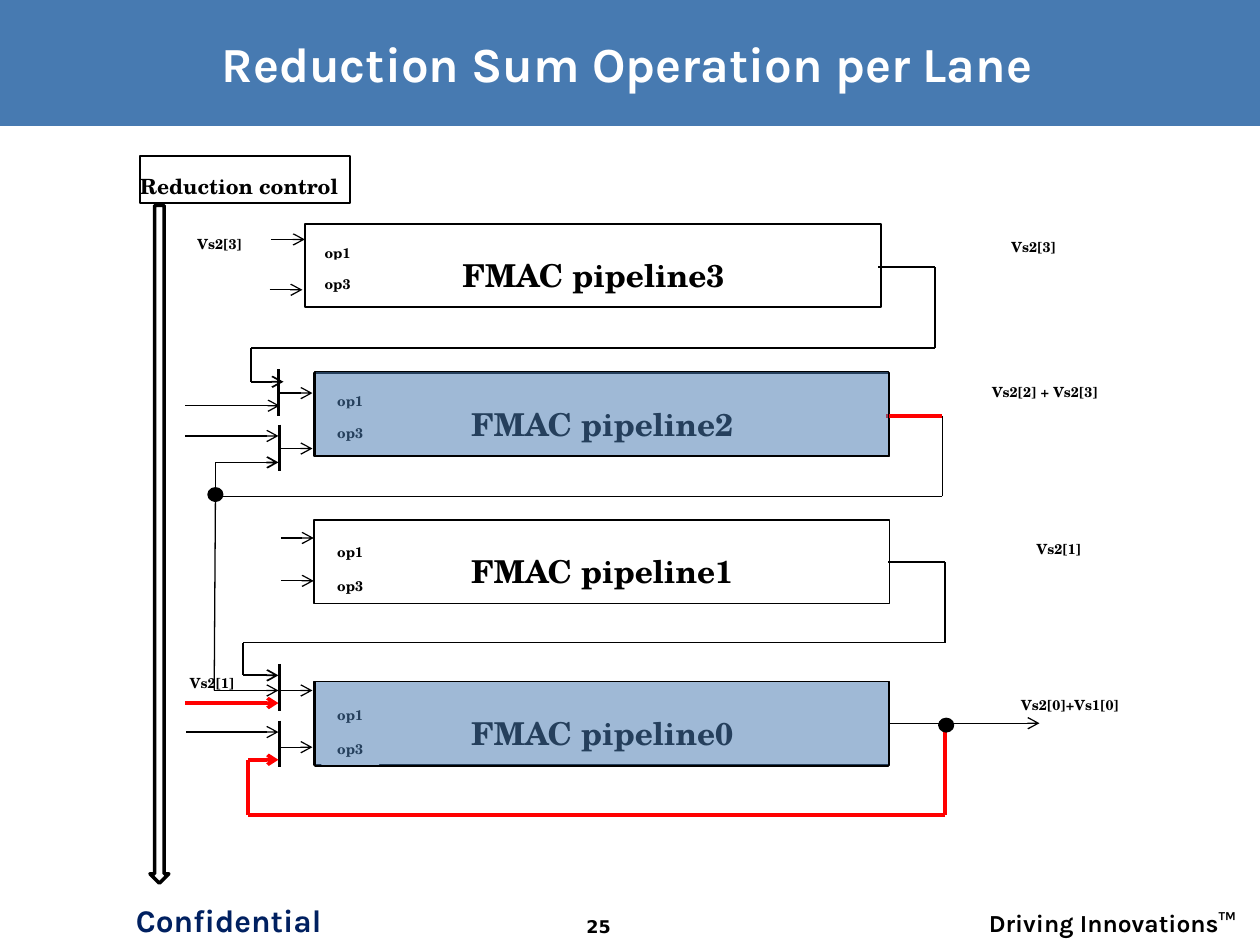
from itertools import pairwise

from lxml.etree import SubElement
from pptx import Presentation
from pptx.dml.color import RGBColor
from pptx.enum.shapes import MSO_CONNECTOR, MSO_SHAPE
from pptx.enum.text import MSO_ANCHOR, PP_ALIGN
from pptx.oxml import parse_xml
from pptx.oxml.ns import nsdecls, qn
from pptx.util import Inches, Pt

BLUE, RED, BLACK, WHITE, NAVY = "477AB1", "FF0000", "000000", "FFFFFF", "002060"
SERIF, SANS = "TeX Gyre Schola", "Karla"


def rgb(value):
    return RGBColor.from_string(value)


class Diagram:
    """Holds the current slide and the style of its elements."""

    def __init__(self, slide):
        self.s = slide

    def set_text(self, shape, text, size, font=SERIF, color=BLACK, align=PP_ALIGN.CENTER,
                 anchor=MSO_ANCHOR.MIDDLE, spacing=1.0, side=0.1, indent=0):
        tf = shape.text_frame
        frame = {"word_wrap": True, "vertical_anchor": anchor,
                 "margin_left": Inches(side), "margin_right": Inches(side),
                 "margin_top": Inches(0.05), "margin_bottom": Inches(0.05)}
        for name, value in frame.items():
            setattr(tf, name, value)
        p = tf.paragraphs[0]
        p.alignment, p.line_spacing = align, spacing
        if indent:
            p._p.get_or_add_pPr().set("indent", str(Inches(indent)))
        r = p.add_run()
        r.text = text
        for name, value in {"size": Pt(size), "name": font, "bold": True}.items():
            setattr(r.font, name, value)
        r.font.color.rgb = rgb(color)
        return r

    def shape(self, kind, x, y, w, h, fill=None, line=None, alpha=None):
        sp = self.s.shapes.add_shape(kind, Inches(x), Inches(y), Inches(w), Inches(h))
        sp.shadow.inherit = False
        if fill:
            sp.fill.solid()
            sp.fill.fore_color.rgb = rgb(fill)
        else:
            sp.fill.background()
        if alpha:
            color = sp.element.spPr.find(f"{qn('a:solidFill')}/{qn('a:srgbClr')}")
            SubElement(color, qn("a:alpha")).set("val", str(alpha * 1000))
        if line:
            sp.line.color.rgb = rgb(BLACK)
            sp.line.width = Pt(line)
        else:
            sp.line.fill.background()
        return sp

    def box(self, x, y, w, h, text, size, indent=0):
        sp = self.shape(MSO_SHAPE.RECTANGLE, x, y, w, h, WHITE, 1)
        self.set_text(sp, text, size, align=PP_ALIGN.LEFT, spacing=1.5, side=0,
                      indent=indent)

    def label(self, x, y, w, text):
        sp = self.shape(MSO_SHAPE.RECTANGLE, x, y, w, 0.32, WHITE)
        self.set_text(sp, text, 8, spacing=1.5)

    def pipeline(self, number, x, y, op_x, op_ys):
        self.box(x, y, 4.57, 0.66, f"FMAC pipeline{number}", 18, indent=1.25)
        for name, op_y in zip(("op1", "op3"), op_ys):
            self.label(op_x, op_y, 0.46, name)

    def wire(self, points, width=1.0, color=BLACK, arrow=True):
        """Join the points with straight lines; the last may end in an arrowhead."""
        for start, end in pairwise(points):
            c = self.s.shapes.add_connector(
                MSO_CONNECTOR.STRAIGHT, *(Inches(v) for v in (*start, *end)))
            c.line.color.rgb = rgb(color)
            c.line.width = Pt(width)
            SubElement(c.element.spPr, qn("a:effectLst"))
        if arrow:
            ln = c.element.spPr.find(qn("a:ln"))
            SubElement(ln, qn("a:tailEnd")).set("type", "arrow")

    def dot(self, x, y):
        self.shape(MSO_SHAPE.OVAL, x, y, 0.1, 0.09, BLACK, 2)

    def footer(self, x, y, w, h, text, size, **style):
        tb = self.s.shapes.add_textbox(Inches(x), Inches(y), Inches(w), Inches(h))
        self.set_text(tb, text, size, anchor=MSO_ANCHOR.TOP, **style)

    def title(self, text):
        self.shape(MSO_SHAPE.RECTANGLE, 0, 0, 10, 1, BLUE)
        sp = self.s.shapes.title
        sp.element.getparent().append(sp.element)  # in front of the band
        place = {"left": 0.22, "top": 0.17, "width": 9.51, "height": 0.66}
        for name, value in place.items():
            setattr(sp, name, Inches(value))
        r = self.set_text(sp, text, 28, SANS, WHITE)
        shadow = parse_xml(
            f'<a:effectLst {nsdecls("a")}><a:outerShdw dist="38100" dir="2700000">'
            f'<a:srgbClr val="{BLACK}"/></a:outerShdw></a:effectLst>')
        r.font._element.find(qn("a:solidFill")).addnext(shadow)


def main():
    prs = Presentation()
    prs.slide_width, prs.slide_height = Inches(10), Inches(7.5)
    d = Diagram(prs.slides.add_slide(prs.slide_layouts[5]))

    d.title("Reduction Sum Operation per Lane")
    d.footer(0.94, 7.1, 1.75, 0.42, "Confidential", 18, font=SANS, color=NAVY)
    d.footer(7.54, 7.16, 2.37, 0.27, "Driving Innovations™", 14, font=SANS,
             align=PP_ALIGN.RIGHT)
    d.footer(4.29, 7.22, 0.92, 0.28, "25", 10, font="DejaVu Sans")

    for x, y, w, text in [
        (1.46, 1.74, 0.57, "Vs2[3]"), (1.4, 5.23, 0.57, "Vs2[1]"),
        (7.42, 1.77, 1.57, "Vs2[3]"), (7.51, 2.92, 1.57, "Vs2[2] + Vs2[3]"),
        (7.62, 4.16, 1.57, "Vs2[1]"), (7.71, 5.4, 1.57, "Vs2[0]+Vs1[0]"),
    ]:
        d.label(x, y, w, text)

    d.pipeline(3, 2.42, 1.78, 2.45, (1.81, 2.06))
    d.pipeline(2, 2.49, 2.96, 2.55, (2.99, 3.24))
    d.pipeline(1, 2.49, 4.13, 2.55, (4.19, 4.46))
    d.pipeline(0, 2.49, 5.41, 2.55, (5.48, 5.75))

    # Operand inputs
    for x1, x2, y in [
        (2.15, 2.42, 1.9), (2.14, 2.4, 2.3), (2.21, 2.48, 3.12), (2.22, 2.48, 3.56),
        (2.23, 2.49, 4.27), (2.23, 2.49, 4.61), (2.22, 2.48, 5.48), (2.22, 2.48, 5.93),
        (1.47, 2.22, 3.22), (1.47, 2.21, 3.46), (1.48, 2.21, 5.81),
    ]:
        d.wire([(x1, y), (x2, y)], 0.75)
    d.wire([(1.47, 5.58), (2.21, 5.58)], 2, RED)

    # Multiplexers
    for x, y in [(2.21, 2.93), (2.22, 3.37), (2.22, 5.27), (2.22, 5.72)]:
        d.wire([(x, y), (x, y + 0.37)], 1.75, arrow=False)

    # Pipeline results fed to later operands
    d.wire([(6.97, 2.12), (7.42, 2.12), (7.42, 2.76), (1.99, 2.76), (1.99, 3.03),
            (2.25, 3.03)])
    d.wire([(7.03, 3.3), (7.48, 3.3)], 2, RED, arrow=False)
    d.wire([(7.48, 3.3), (7.48, 3.94), (1.71, 3.94), (1.71, 3.67), (2.21, 3.67)])
    d.wire([(1.71, 3.94), (1.7, 5.48), (2.21, 5.48)], 0.75)
    d.wire([(7.05, 4.46), (7.5, 4.46), (7.5, 5.1), (1.93, 5.1), (1.93, 5.36),
            (2.21, 5.36)])
    d.wire([(7.5, 5.72), (7.5, 6.47), (1.97, 6.47), (1.97, 6.03), (2.21, 6.03)], 2, RED)
    d.wire([(7.05, 5.74), (7.5, 5.74), (8.25, 5.74)], 0.75)
    d.dot(1.66, 3.88)
    d.dot(7.46, 5.71)

    d.box(1.11, 1.24, 1.67, 0.37, "Reduction control", 12)
    d.shape(MSO_SHAPE.DOWN_ARROW, 1.19, 1.63, 0.15, 5.38, line=2)
    for y in (2.95, 5.41):
        d.shape(MSO_SHAPE.RECTANGLE, 2.5, y, 4.55, 0.67, BLUE, 0.75, alpha=52)

    prs.save("out.pptx")


if __name__ == "__main__":
    main()
